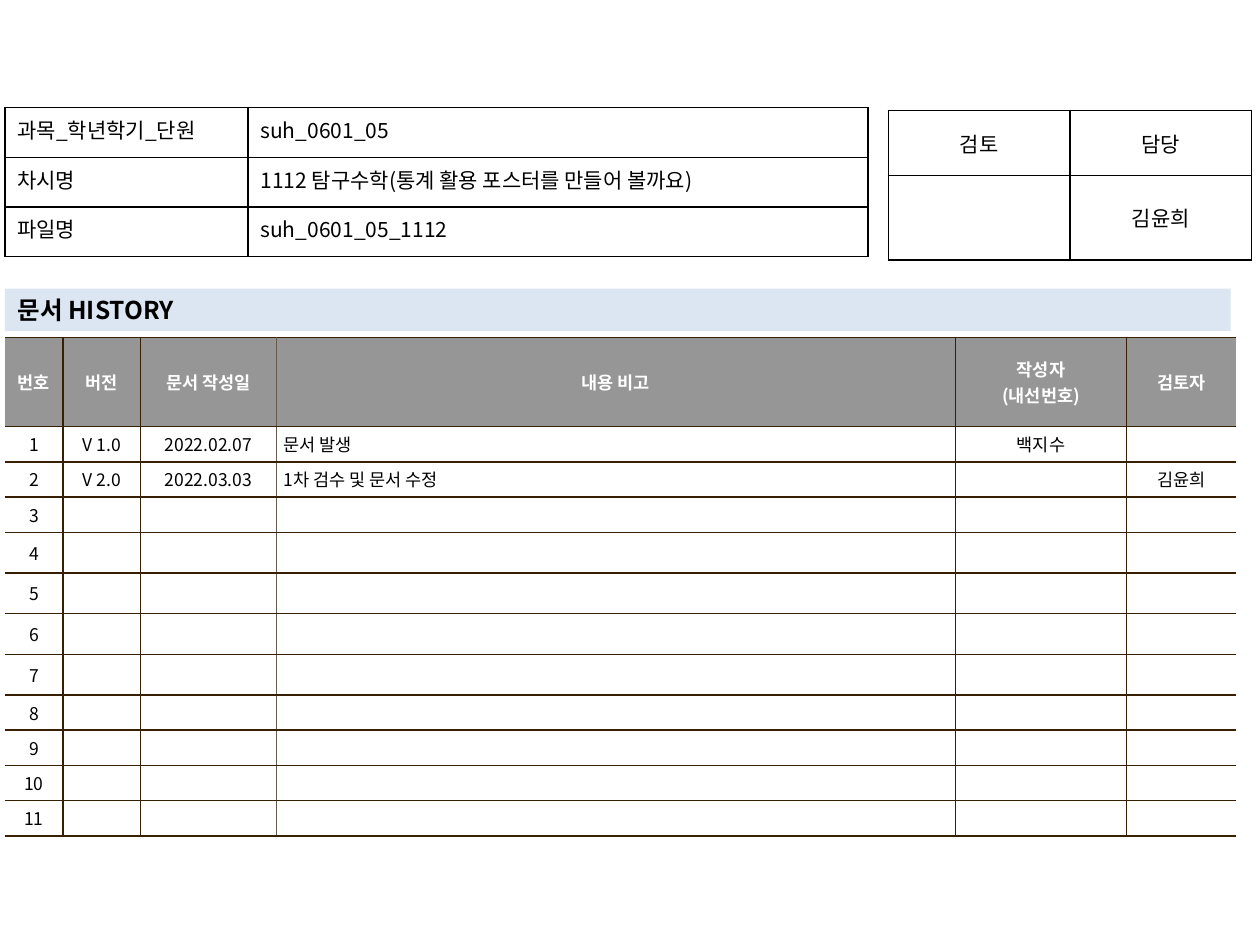
import pptx
import pptx.dml.color
import pptx.enum.text
import pptx.oxml
import pptx.oxml.ns
import pptx.util
from lxml import etree

Cm, Pt = pptx.util.Cm, pptx.util.Pt
ALIGN = pptx.enum.text.PP_ALIGN
ANCHOR = pptx.enum.text.MSO_ANCHOR
qn = pptx.oxml.ns.qn

FONT = "Noto Sans CJK KR"
BLACK, WHITE, GRAY, PALE = "000000", "FFFFFF", "969696", "DCE6F2"
BROWN, TAUPE = "362000", "645B4C"

TITLE = "문서 HISTORY"
INFO = [
    ["과목_학년학기_단원", "suh_0601_05"],
    ["차시명", "1112 탐구수학(통계 활용 포스터를 만들어 볼까요)"],
    ["파일명", "suh_0601_05_1112"],
]
APPROVAL = [["검토", "담당"], ["", "김윤희"]]
HEADER = ["번호", "버전", "문서 작성일", "내용 비고", "작성자\n(내선번호)", "검토자"]
ENTRIES = [
    ["V 1.0", "2022.02.07", "문서 발생", "백지수", ""],
    ["V 2.0", "2022.03.03", "1차 검수 및 문서 수정", "", "김윤희"],
]
LAST_NO = 11
TALL_NOS = range(4, 8)
NOTE_COL = HEADER.index("내용 비고")


def rgb(value):
    return pptx.dml.color.RGBColor.from_string(value)


def add_run(p, text, size, color, bold):
    r = p.add_run()
    r.text = text
    r.font.size, r.font.bold, r.font.name = Pt(size), bold, FONT
    r.font.color.rgb = rgb(color)
    etree.SubElement(r.font._element, qn("a:ea")).set("typeface", FONT)


def set_border(cell, side, color):
    ln = etree.SubElement(cell._tc.get_or_add_tcPr(), qn("a:ln" + side))
    ln.set("w", str(Pt(1)))
    if color is None:
        etree.SubElement(ln, qn("a:noFill"))
    else:
        fill = etree.SubElement(ln, qn("a:solidFill"))
        etree.SubElement(fill, qn("a:srgbClr")).set("val", color)


def fill_cell(cell, text, size, align, anchor, margins, borders,
              fill=WHITE, color=BLACK, bold=False):
    for side, line in zip("LRTB", borders):
        set_border(cell, side, line)
    cell.fill.solid()
    cell.fill.fore_color.rgb = rgb(fill)
    cell.vertical_anchor = anchor
    cell.margin_left = cell.margin_right = Cm(margins[0])
    cell.margin_top = cell.margin_bottom = Cm(margins[1])
    tf = cell.text_frame
    for i, line in enumerate(text.split("\n")):
        p = tf.add_paragraph() if i else tf.paragraphs[0]
        p.alignment = align
        if line:
            add_run(p, line, size, color, bold)
        else:
            end = etree.SubElement(p._p, qn("a:endParaRPr"))
            end.set("sz", str(size * 100))


def add_table(s, left, top, widths, heights):
    frame = s.shapes.add_table(len(heights), len(widths), Cm(left), Cm(top),
                               Cm(sum(widths)), Cm(sum(heights)))
    table = frame.table
    table.first_row = table.horz_banding = False
    for col, width in zip(table.columns, widths):
        col.width = Cm(width)
    for row, height in zip(table.rows, heights):
        row.height = Cm(height)
    return table


def add_history(s):
    blank = [""] * (len(HEADER) - 1)
    rows = [HEADER]
    for no in range(1, LAST_NO + 1):
        rows.append([str(no)] + (ENTRIES[no - 1] if no <= len(ENTRIES) else blank))
    heights = [1.8] + [0.82 if no in TALL_NOS else 0.71
                       for no in range(1, LAST_NO + 1)]
    table = add_table(s, 0.1, 6.8, [1.17, 1.56, 2.74, 13.69, 3.45, 2.2], heights)
    verticals = [None] + [BROWN] * (len(HEADER) - 1) + [None]
    verticals[NOTE_COL] = TAUPE
    for i, row in enumerate(rows):
        head = i == 0
        for j, text in enumerate(row):
            note = j == NOTE_COL and not head
            fill_cell(table.cell(i, j), text, 10,
                      ALIGN.LEFT if note else ALIGN.CENTER, ANCHOR.MIDDLE,
                      (0.15, 0.1), (verticals[j], verticals[j + 1], BROWN, BROWN),
                      GRAY if head else WHITE, WHITE if head else BLACK, head)


def add_grid(s, rows, left, top, widths, heights, aligns, anchor):
    table = add_table(s, left, top, widths, heights)
    for i, row in enumerate(rows):
        for j, text in enumerate(row):
            fill_cell(table.cell(i, j), text, 12, aligns[j], anchor,
                      (0.25, 0.13), [BLACK] * 4)


def add_title(s):
    sp = s.shapes.title
    sp.left, sp.top, sp.width, sp.height = Cm(0.1), Cm(5.82), Cm(24.71), Cm(0.85)
    sp.fill.solid()
    sp.fill.fore_color.rgb = rgb(PALE)
    tf = sp.text_frame
    tf.word_wrap = True
    tf.auto_size = pptx.enum.text.MSO_AUTO_SIZE.NONE
    tf.vertical_anchor = ANCHOR.MIDDLE
    tf.margin_top = tf.margin_bottom = 0
    p = tf.paragraphs[0]
    p.alignment = ALIGN.LEFT
    add_run(p, TITLE, 14, BLACK, True)


def main():
    prs = pptx.Presentation()
    prs.slide_width, prs.slide_height = Cm(25.4), Cm(19.05)
    s = prs.slides.add_slide(prs.slide_layouts[5])
    add_history(s)
    add_grid(s, APPROVAL, 17.91, 2.23, [3.66] * 2, [1.31, 1.7],
             [ALIGN.CENTER] * 2, ANCHOR.MIDDLE)
    add_title(s)
    add_grid(s, INFO, 0.1, 2.17, [4.9, 12.5], [1] * 3,
             [ALIGN.JUSTIFY, ALIGN.LEFT], ANCHOR.TOP)
    prs.save("out.pptx")


if __name__ == "__main__":
    main()
